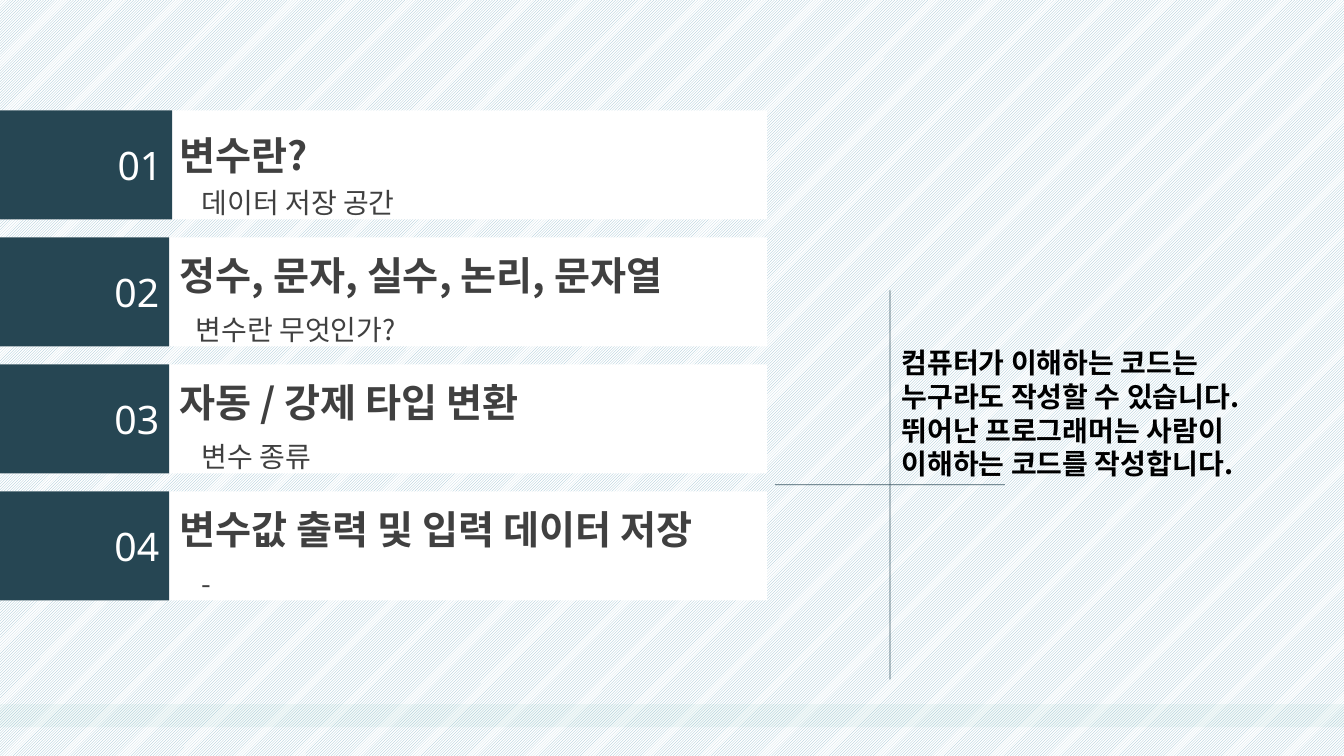
from lxml.etree import SubElement
from pptx import Presentation
from pptx.dml.color import RGBColor
from pptx.enum.dml import MSO_PATTERN
from pptx.enum.shapes import MSO_CONNECTOR, MSO_SHAPE
from pptx.enum.text import MSO_ANCHOR, MSO_AUTO_SIZE, PP_ALIGN
from pptx.oxml.ns import qn
from pptx.util import Pt

ROWS = [
    ("01", "변수란?", "데이터 저장 공간"),
    ("02", "정수, 문자, 실수, 논리, 문자열", "변수란 무엇인가?"),
    ("03", "자동 / 강제 타입 변환", "변수 종류"),
    ("04", "변수값 출력 및 입력 데이터 저장", "-"),
]
QUOTE = ("컴퓨터가 이해하는 코드는 누구라도 작성할 수 있습니다. "
         "뛰어난 프로그래머는 사람이 이해하는 코드를 작성합니다.")
CROSS = [(553.7, 346.3, 717.8, 346.3), (635.8, 207.4, 635.8, 485.3)]

HEX = {"white": "FFFFFF", "navy": "264653", "teal": "2A9D8F",
       "stripe": "94BDCE", "gray": "404040", "black": "000000"}
LATIN, HANGUL = "Noto Sans", "Noto Sans CJK KR"
WIDE, HIGH = 960, 540
TOP, STEP, BAR = 78.9, 90.72, 77.8
EDGE, TAB = 548, 123


def color(name):
    return RGBColor.from_string(HEX[name])


def fade(fill, share):
    tint = fill._xPr.find(".//" + qn("a:srgbClr"))
    SubElement(tint, qn("a:alpha")).set("val", str(share * 1000))


def add_box(x, y, w, h, name):
    box = slide.shapes.add_shape(MSO_SHAPE.RECTANGLE, Pt(x), Pt(y), Pt(w), Pt(h))
    box.shadow.inherit = False
    box.line.fill.background()
    box.fill.solid()
    box.fill.fore_color.rgb = color(name)
    return box


def style(para, size, name, face, bold=False):
    font = para.runs[0].font
    font.size, font.name, font.bold = Pt(size), face, bold
    font.color.rgb = color(name)
    SubElement(font._element, qn("a:ea")).set("typeface", face)


def add_text(x, y, w, h, text, size, name, bold=False, grow=True):
    box = slide.shapes.add_textbox(Pt(x), Pt(y), Pt(w), Pt(h))
    frame = box.text_frame
    frame.word_wrap = True
    frame.auto_size = MSO_AUTO_SIZE.SHAPE_TO_FIT_TEXT if grow else MSO_AUTO_SIZE.NONE
    frame.margin_left = frame.margin_right = 0
    frame.margin_top = frame.margin_bottom = 0
    frame.text = text
    para = frame.paragraphs[0]
    para.line_spacing = Pt(size * 1.2)
    style(para, size, name, HANGUL, bold)


def add_row(i, num, title, note):
    x = -2.2 if i else 0
    y = TOP + i * STEP
    add_box(x, y, EDGE - x, BAR, "white")
    tab = add_box(x, y, TAB, BAR, "navy")
    frame = tab.text_frame
    frame.vertical_anchor = MSO_ANCHOR.MIDDLE
    frame.text = num
    para = frame.paragraphs[0]
    para.alignment = PP_ALIGN.RIGHT
    style(para, 28, "white", LATIN)
    drop = 10.2 if i else 14.7
    add_text(128.4, y + drop, 420, 33.6, title, 28, "gray", True)
    left = 139.7 if i == 1 else 144
    add_text(left, y + 53.9, 389, 24, note, 20, "gray")


def add_cross():
    group = slide.shapes.add_group_shape()
    for x1, y1, x2, y2 in CROSS:
        rule = group.shapes.add_connector(
            MSO_CONNECTOR.STRAIGHT, Pt(x1), Pt(y1), Pt(x2), Pt(y2))
        rule.line.width = Pt(0.5)
        rule.line.color.rgb = color("navy")
        fade(rule.line.fill, 90)
        SubElement(rule._element.spPr, qn("a:effectLst"))


deck = Presentation()
deck.slide_width, deck.slide_height = Pt(WIDE), Pt(HIGH)
slide = deck.slides.add_slide(deck.slide_layouts[6])

back = add_box(0, 0, WIDE, HIGH, "white")
back.fill.patterned()
back.fill.pattern = MSO_PATTERN.DARK_UPWARD_DIAGONAL
back.fill.fore_color.rgb = color("stripe")
back.fill.back_color.rgb = color("white")
band = add_box(0, 503, WIDE, 16.5, "teal")
fade(band.fill, 5)
add_cross()
for i, row in enumerate(ROWS):
    add_row(i, *row)
add_text(644, 247, 257, 139, QUOTE, 20, "black", True, False)
deck.save("out.pptx")
